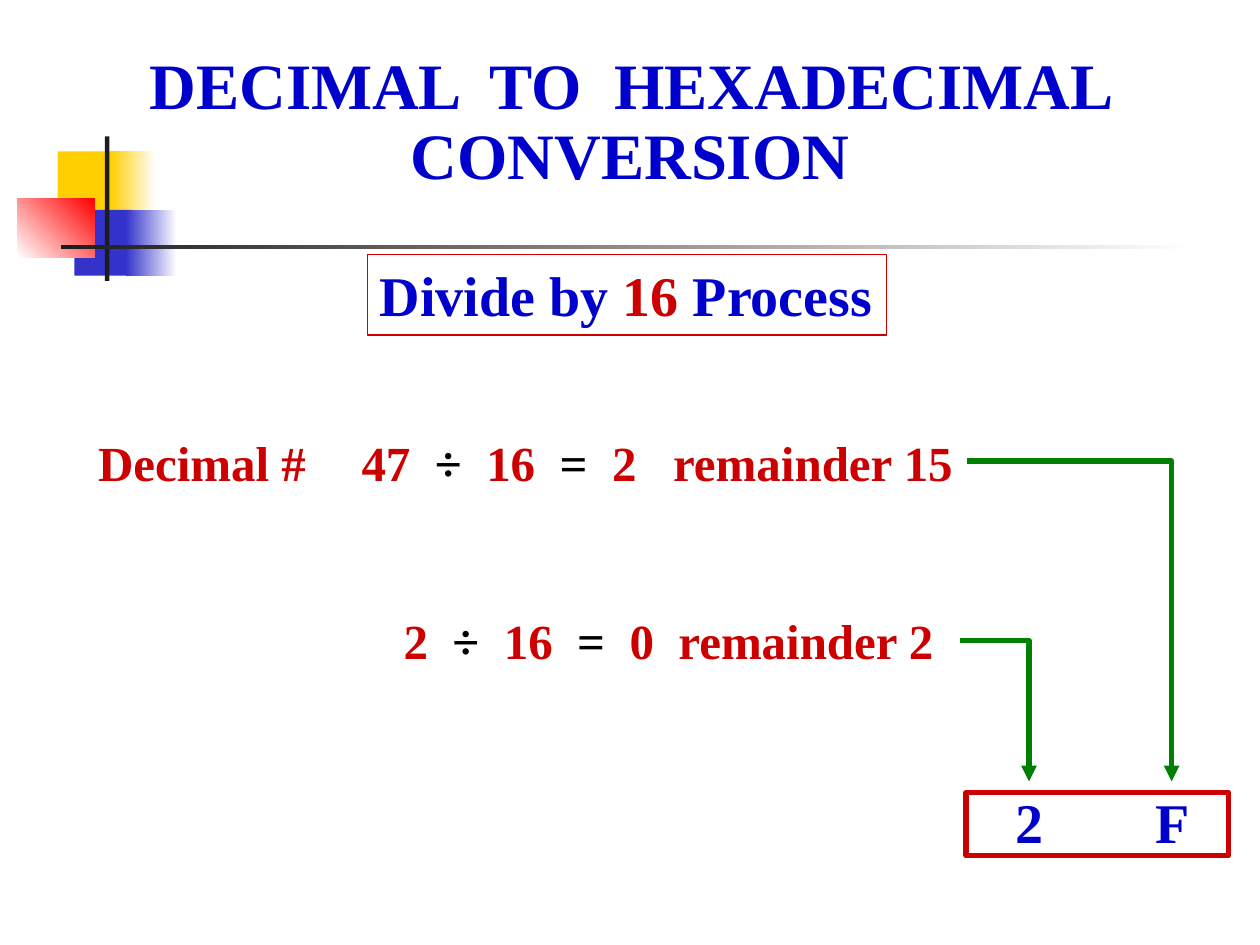
from lxml import etree
from pptx import Presentation
from pptx.dml.color import RGBColor
from pptx.enum.shapes import MSO_CONNECTOR, MSO_SHAPE
from pptx.enum.text import MSO_ANCHOR, MSO_AUTO_SIZE, PP_ALIGN
from pptx.oxml.ns import qn
from pptx.util import Pt

BLUE = RGBColor(0x00, 0x00, 0xCC)
RED = RGBColor(0xCC, 0x00, 0x00)
GREEN = RGBColor(0x00, 0x80, 0x00)
BLACK = RGBColor(0x00, 0x00, 0x00)
WHITE = RGBColor(0xFF, 0xFF, 0xFF)
YELLOW = RGBColor(0xFF, 0xCF, 0x01)
INDIGO = RGBColor(0x33, 0x33, 0xCC)
BRIGHT_RED = RGBColor(0xFF, 0x00, 0x00)
CHARCOAL = RGBColor(0x1C, 0x1C, 0x1C)

prs = Presentation()
prs.slide_width, prs.slide_height = Pt(720), Pt(540)
slide = prs.slides.add_slide(prs.slide_layouts[6])


def add_rect(x, y, w, h, colors=(), angle=0, line=None, width=0):
    s = slide.shapes.add_shape(MSO_SHAPE.RECTANGLE, Pt(x), Pt(y), Pt(w), Pt(h))
    s.shadow.inherit = False
    if len(colors) == 2:
        s.fill.gradient()
        s.fill.gradient_angle = angle
        for stop, color in zip(s.fill.gradient_stops, colors):
            stop.color.rgb = color
    elif colors:
        s.fill.solid()
        s.fill.fore_color.rgb = colors[0]
    else:
        s.fill.background()
    if line is None:
        s.line.fill.background()
    else:
        s.line.color.rgb = line
        s.line.width = Pt(width)


def add_text(x, y, w, h, size, runs):
    s = slide.shapes.add_textbox(Pt(x), Pt(y), Pt(w), Pt(h))
    tf = s.text_frame
    tf.word_wrap = False
    tf.auto_size = MSO_AUTO_SIZE.SHAPE_TO_FIT_TEXT
    p = tf.paragraphs[0]
    p.space_before = Pt(size // 4)
    for text, color in runs:
        r = p.add_run()
        r.text = text
        r.font.name = "Times New Roman"
        r.font.size = Pt(size)
        r.font.bold = True
        r.font.color.rgb = color
    return s


for x, y, w, h, colors, angle in [
    (33, 86.5, 34.5, 37.5, [YELLOW], 0),
    (63, 86.5, 26, 37.5, [YELLOW, WHITE], 0),
    (42.5, 120, 33, 37.5, [INDIGO], 0),
    (72, 120, 29, 37.5, [INDIGO, WHITE], 0),
    (10, 113.5, 44, 33.5, [WHITE, BRIGHT_RED], 45),
    (60, 78, 2.5, 82.5, [CHARCOAL], 0),
    (35, 140, 648, 2.5, [CHARCOAL, WHITE], 0),
]:
    add_rect(x, y, w, h, colors, angle)

s = add_text(30, 12, 660, 102, 37, [("DECIMAL  TO  HEXADECIMAL CONVERSION", BLUE)])
tf = s.text_frame
tf.word_wrap = True
tf.auto_size = MSO_AUTO_SIZE.NONE
tf.vertical_anchor = MSO_ANCHOR.BOTTOM
p = tf.paragraphs[0]
p.alignment = PP_ALIGN.CENTER
p.line_spacing = 0.9
p.space_before = Pt(0)

s = add_text(210, 145.5, 296.5, 46, 32,
             [("Divide by ", BLUE), ("16 ", RED), ("Process", BLUE)])
s.line.color.rgb = RED
s.line.width = Pt(0.75)

add_text(49, 243.5, 133, 41, 28, [("Decimal #", RED)])
for x, y, w, dividend, result in [
    (199.5, 243.5, 353, "47  ", "2   remainder 15"),
    (223.5, 345.5, 325, "2  ", "0  remainder 2"),
]:
    add_text(x, y, w, 41, 28, [(dividend, RED), ("÷  ", BLACK), ("16 ", RED),
                               (" =  ", BLACK), (result, RED)])

for x, w, digit in [(653, 34, "F"), (573, 30.5, "2")]:
    add_text(x, 446.5, w, 46, 32, [(digit, BLUE)])

for x1, y1, x2 in [(552.5, 263.5, 669.5), (548.5, 366, 588)]:
    c = slide.shapes.add_connector(MSO_CONNECTOR.ELBOW, Pt(x1), Pt(y1), Pt(x2), Pt(446.5))
    c.line.color.rgb = GREEN
    c.line.width = Pt(3)
    sp_pr = c._element.spPr
    sp_pr.find(qn("a:prstGeom")).set("prst", "bentConnector2")
    etree.SubElement(sp_pr.find(qn("a:ln")), qn("a:tailEnd"), type="triangle")
    etree.SubElement(sp_pr, qn("a:effectLst"))

add_rect(552, 453, 150, 36, line=RED, width=3)

prs.save("out.pptx")
